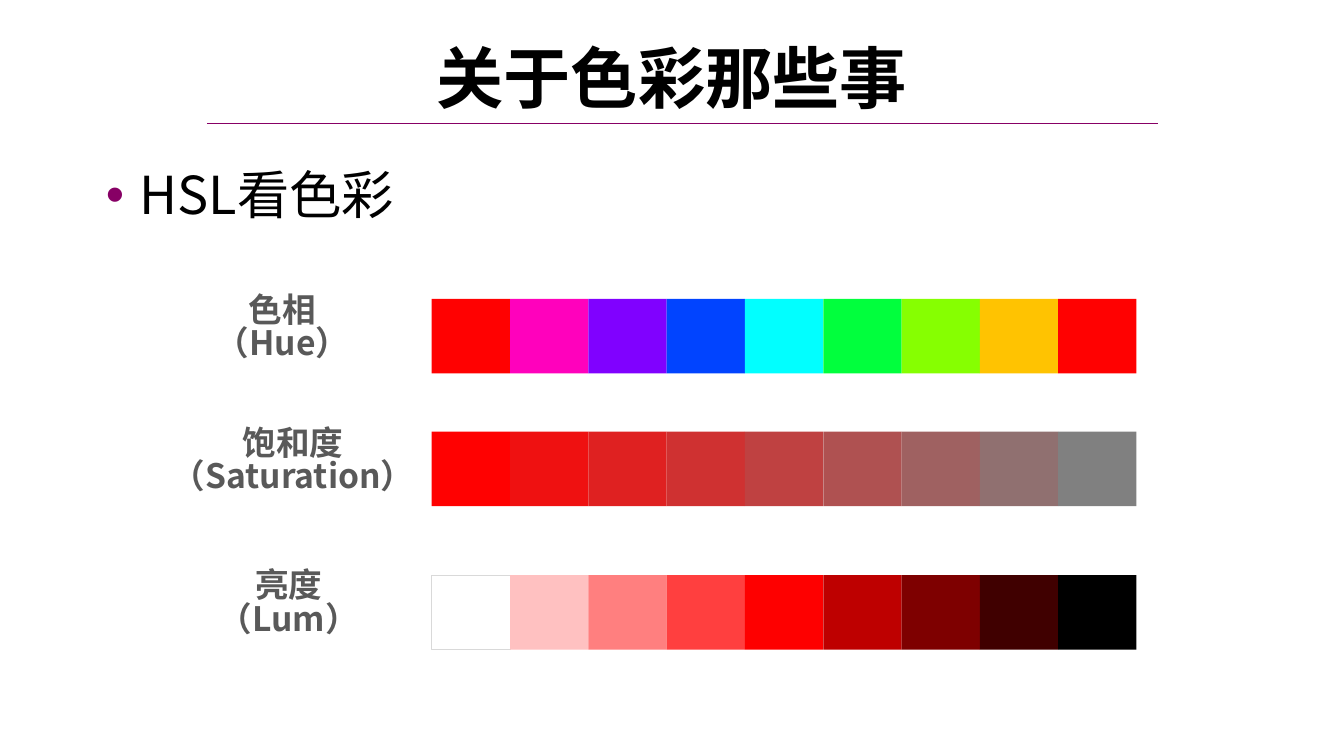
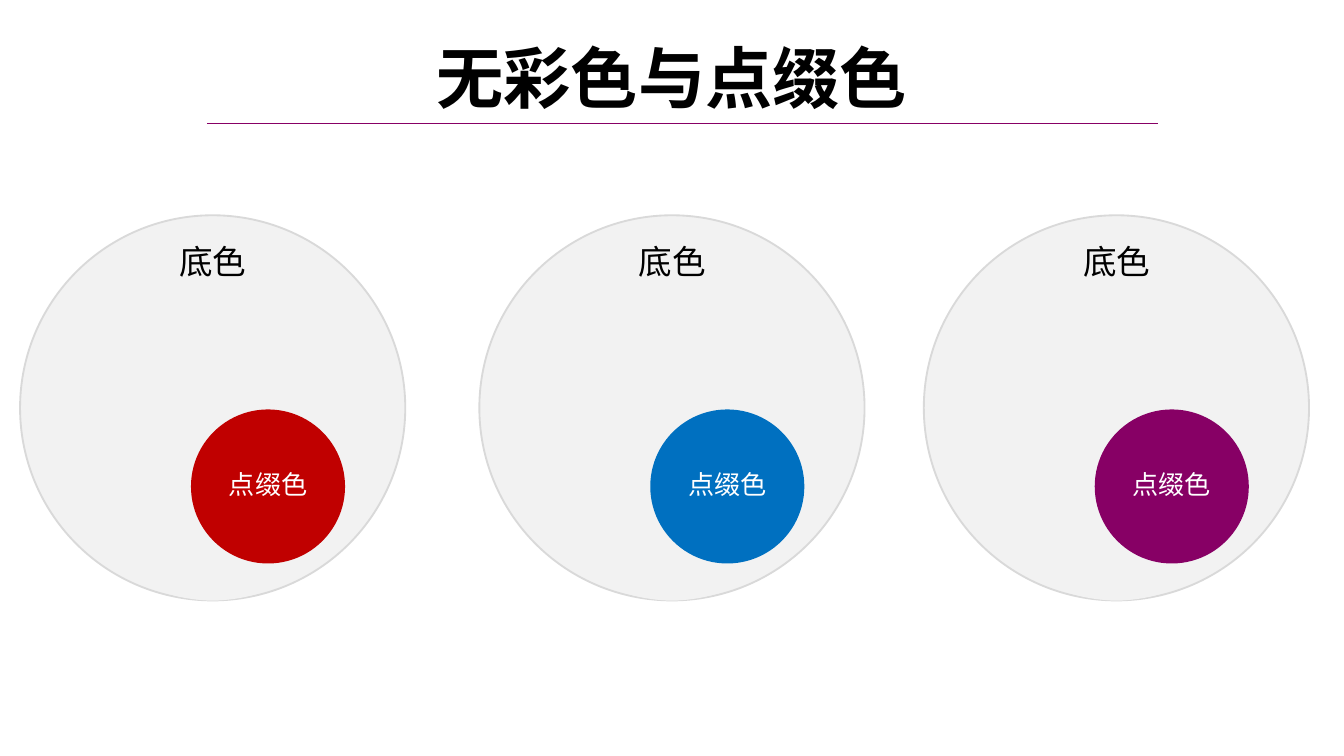
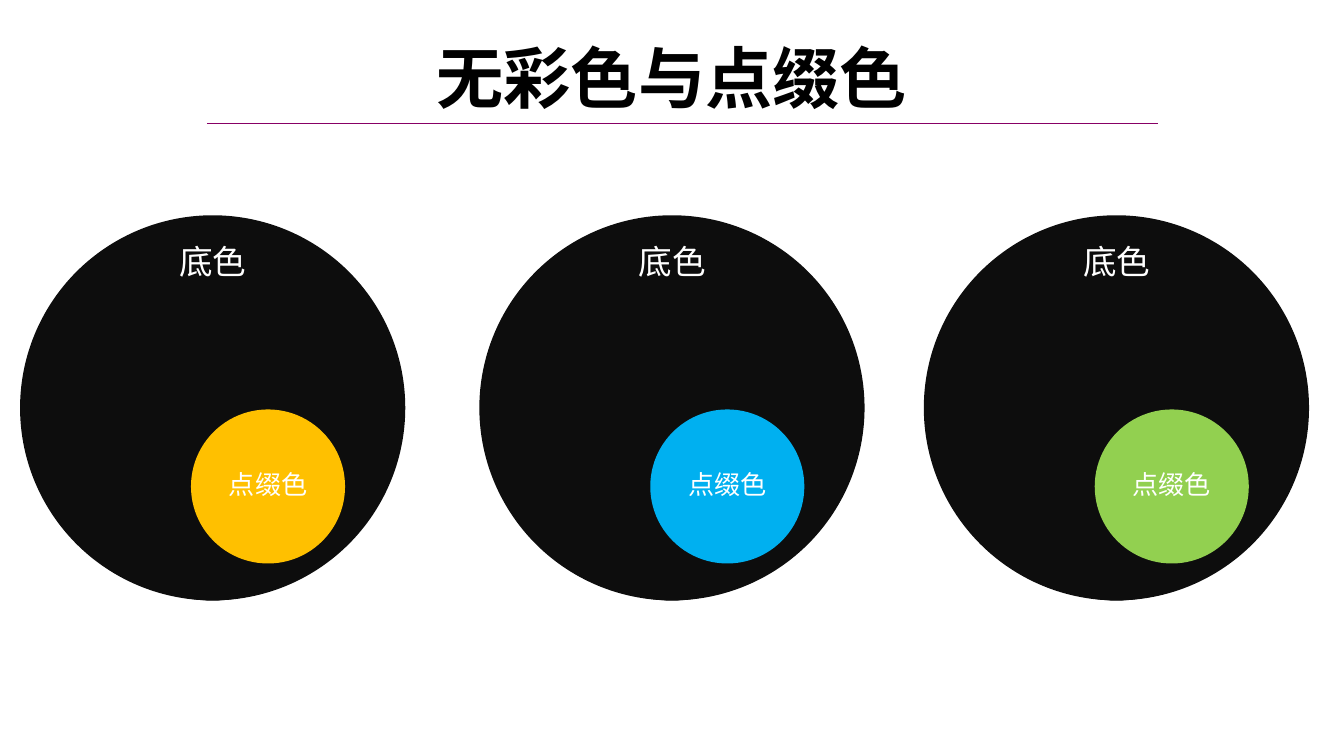
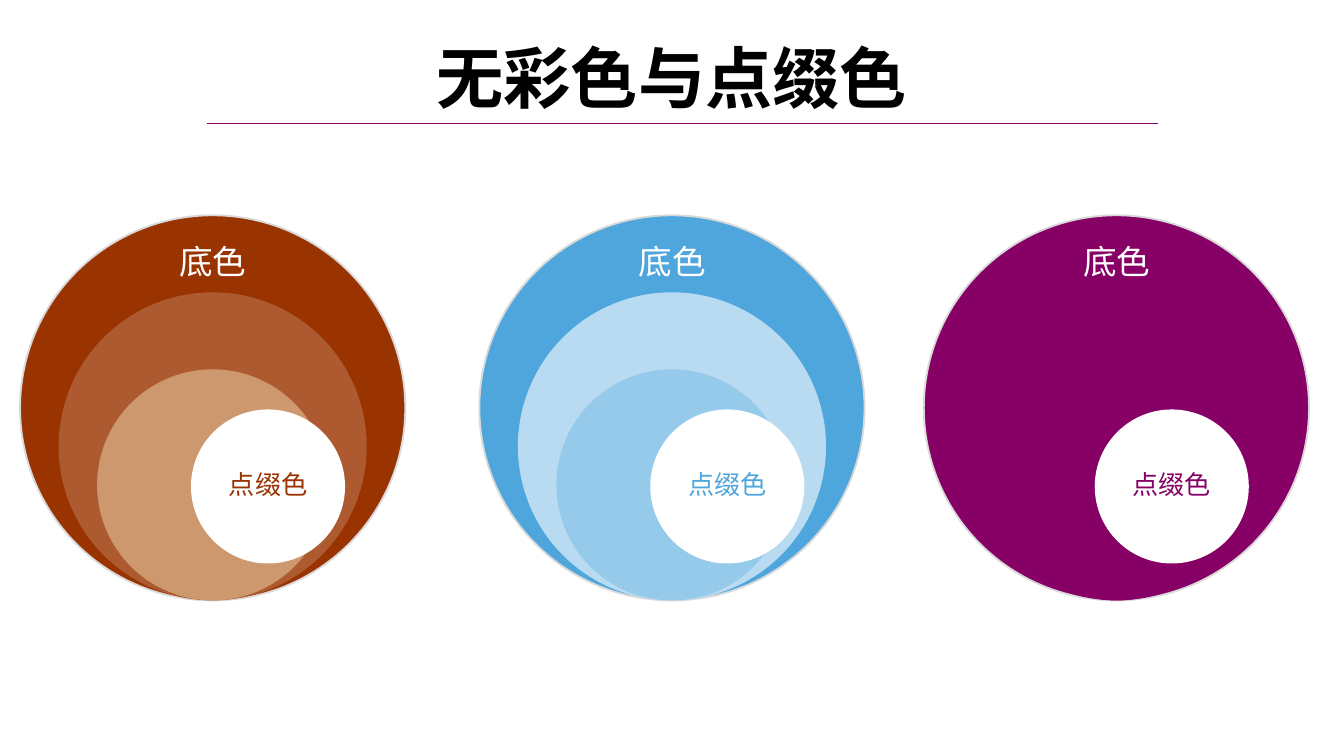
import lxml.etree
import pptx
import pptx.dml.color
import pptx.enum.shapes
import pptx.enum.text
import pptx.oxml.ns
import pptx.util

Cm = pptx.util.Cm
Pt = pptx.util.Pt
Anchor = pptx.enum.text.MSO_ANCHOR
Align = pptx.enum.text.PP_ALIGN
Preset = pptx.enum.shapes.MSO_SHAPE

COLOURS = {
    "theme": "870065", "black": "000000", "white": "FFFFFF",
    "label": "595959", "outline": "D9D9D9", "pale": "F2F2F2",
    "dark": "0D0D0D", "red": "C00000", "blue": "0070C0",
    "gold": "FFC000", "sky": "00B0F0", "green": "92D050",
    "rust": "993300", "rust_mid": "AE5A30", "rust_light": "CD986D",
    "azure": "4EA6DC", "azure_light": "B8DBF1", "azure_mid": "95CAEA",
}
SCALES = {
    "hue": ["FF0101", "FF01BC", "8001FF", "0144FF", "01FFFF", "01FF3D", "86FF01", "FFC301", "FF0101"],
    "saturation": ["FF0101", "EF1111", "DF2121", "CF3131", "BF4141", "AF5151", "9F6161", "907070", "808080"],
    "lum": ["FFFFFF", "FFC1C1", "FF7F7F", "FF3F3F", "FE0000", "BE0000", "7E0000", "400000", "000000"],
}
HEADING_FONT = "Noto Sans CJK SC"
CIRCLE_FONT = "Lato"
FORMATS = {
    "title": {"name": HEADING_FONT, "size": Pt(36), "bold": True},
    "body": {"name": HEADING_FONT, "size": Pt(28)},
    "label": {"name": HEADING_FONT, "size": Pt(18), "bold": True},
    "base": {"name": CIRCLE_FONT, "size": Pt(18)},
    "accent": {"name": CIRCLE_FONT, "size": Pt(14)},
}
LINE_SPACING = {"title": 0.9, "body": 0.9, "label": 0.83, "base": 0.9, "accent": 0.9}

SWATCH_LEFT, SWATCH_WIDTH, SWATCH_HEIGHT = 8.16, 1.48, 1.41
CIRCLE_LEFTS = [0.38, 9.06, 17.46]
CIRCLE_TOP, CIRCLE_SIZE = 4.07, 7.28
ACCENT_LEFT, ACCENT_TOP = 3.23, 3.67


def rgb(colour):
    return pptx.dml.color.RGBColor.from_string(COLOURS.get(colour, colour))


def add_text(slide, box, lines, style, colour, anchor=Anchor.TOP, align=Align.CENTER, wrap=True):
    shape = slide.shapes.add_textbox(*map(Cm, box))
    frame = shape.text_frame
    frame.word_wrap = wrap
    frame.vertical_anchor = anchor
    for index, line in enumerate(lines):
        paragraph = frame.paragraphs[0] if index == 0 else frame.add_paragraph()
        paragraph.alignment = align
        paragraph.line_spacing = LINE_SPACING[style]
        run = paragraph.add_run()
        run.text = line
        for attribute, value in FORMATS[style].items():
            setattr(run.font, attribute, value)
        run.font.color.rgb = rgb(colour)
    return frame


def add_bullet(paragraph):
    properties = paragraph._p.get_or_add_pPr()
    properties.set("marL", str(Cm(0.64)))
    properties.set("indent", str(Cm(-0.64)))
    qualified = pptx.oxml.ns.qn
    bullet_colour = lxml.etree.SubElement(properties, qualified("a:buClr"))
    lxml.etree.SubElement(bullet_colour, qualified("a:srgbClr"), val=COLOURS["theme"])
    lxml.etree.SubElement(properties, qualified("a:buFont"), typeface="Arial")
    lxml.etree.SubElement(properties, qualified("a:buChar"), char="•")


def add_shape(slide, preset, box, fill, outline_width=None):
    shape = slide.shapes.add_shape(preset, *map(Cm, box))
    shape.shadow.inherit = False
    shape.fill.solid()
    shape.fill.fore_color.rgb = rgb(fill)
    if outline_width:
        shape.line.color.rgb = rgb("outline")
        shape.line.width = Pt(outline_width)
    else:
        shape.line.fill.background()


def add_titled_slide(presentation, title):
    slide = presentation.slides.add_slide(presentation.slide_layouts[6])
    rule = slide.shapes.add_connector(
        pptx.enum.shapes.MSO_CONNECTOR.STRAIGHT, Cm(3.91), Cm(2.34), Cm(21.89), Cm(2.34))
    rule.line.color.rgb = rgb("theme")
    rule.line.width = Pt(0.75)
    lxml.etree.SubElement(rule._element.spPr, pptx.oxml.ns.qn("a:effectLst"))
    add_text(slide, (1.75, 0.76, 21.89, 1.57), [title], "title", "black", Anchor.MIDDLE)
    return slide


def add_scale(slide, scale, top, label_left, label_top, lines):
    add_text(slide, (label_left, label_top, 5.44, 1.8), lines, "label", "label")
    for column, fill in enumerate(SCALES[scale]):
        box = (SWATCH_LEFT + column * SWATCH_WIDTH, top, SWATCH_WIDTH, SWATCH_HEIGHT)
        add_shape(slide, Preset.RECTANGLE, box, fill, 0.25 if fill == COLOURS["white"] else None)


def add_circle_label(slide, box, text, style, colour, inset):
    frame = add_text(slide, box, [text], style, colour, Anchor.MIDDLE, wrap=False)
    for side in ("left", "right", "top", "bottom"):
        setattr(frame, f"margin_{side}", Cm(inset))


def add_nested_circles(slide, left, rings, accent, base_text, accent_text, outline_width):
    for index, fill in enumerate(rings):
        size = CIRCLE_SIZE * (1 - 0.2 * index)
        gap = CIRCLE_SIZE - size
        box = (left + gap / 2, CIRCLE_TOP + gap, size, size)
        add_shape(slide, Preset.OVAL, box, fill, None if index else outline_width)
    add_circle_label(slide, (left + 2.63, CIRCLE_TOP + 0.37, 2.03, 1.09), "底色", "base", base_text, 0.36)
    accent_size = CIRCLE_SIZE * 0.4
    accent_left, accent_top = left + ACCENT_LEFT, CIRCLE_TOP + ACCENT_TOP
    add_shape(slide, Preset.OVAL, (accent_left, accent_top, accent_size, accent_size), accent)
    add_circle_label(slide, (accent_left + 0.43, accent_top + 0.72, 2.06, 1.45),
                     "点缀色", "accent", accent_text, 0.28)


def add_hsl_slide(presentation):
    slide = add_titled_slide(presentation, "关于色彩那些事")
    frame = add_text(slide, (1.75, 3.07, 11.66, 2.08), ["HSL看色彩"], "body", "black", align=Align.LEFT)
    add_bullet(frame.paragraphs[0])
    add_scale(slide, "hue", 5.65, 2.62, 5.46, ["色相", "（Hue）"])
    add_scale(slide, "saturation", 8.16, 2.82, 7.98, ["饱和度（Saturation）"])
    add_scale(slide, "lum", 10.87, 2.74, 10.67, ["亮度", "（Lum）"])


def add_accent_slide(presentation, palettes, base_text, outline_width=None):
    slide = add_titled_slide(presentation, "无彩色与点缀色")
    for left, (rings, accent, accent_text) in zip(CIRCLE_LEFTS, palettes):
        add_nested_circles(slide, left, rings, accent, base_text, accent_text, outline_width)


def main():
    presentation = pptx.Presentation()
    presentation.slide_width = Cm(25.4)
    presentation.slide_height = Cm(14.29)
    add_hsl_slide(presentation)
    add_accent_slide(
        presentation, [(["pale"] * 3, accent, "white") for accent in ("red", "blue", "theme")], "black", 1)
    add_accent_slide(
        presentation, [(["dark"] * 3, accent, "white") for accent in ("gold", "sky", "green")], "white")
    ring_sets = [
        ["rust", "rust_mid", "rust_light"],
        ["azure", "azure_light", "azure_mid"],
        ["theme"] * 3,
    ]
    add_accent_slide(presentation, [(rings, "white", rings[0]) for rings in ring_sets], "white", 1)
    presentation.save("out.pptx")


if __name__ == "__main__":
    main()
